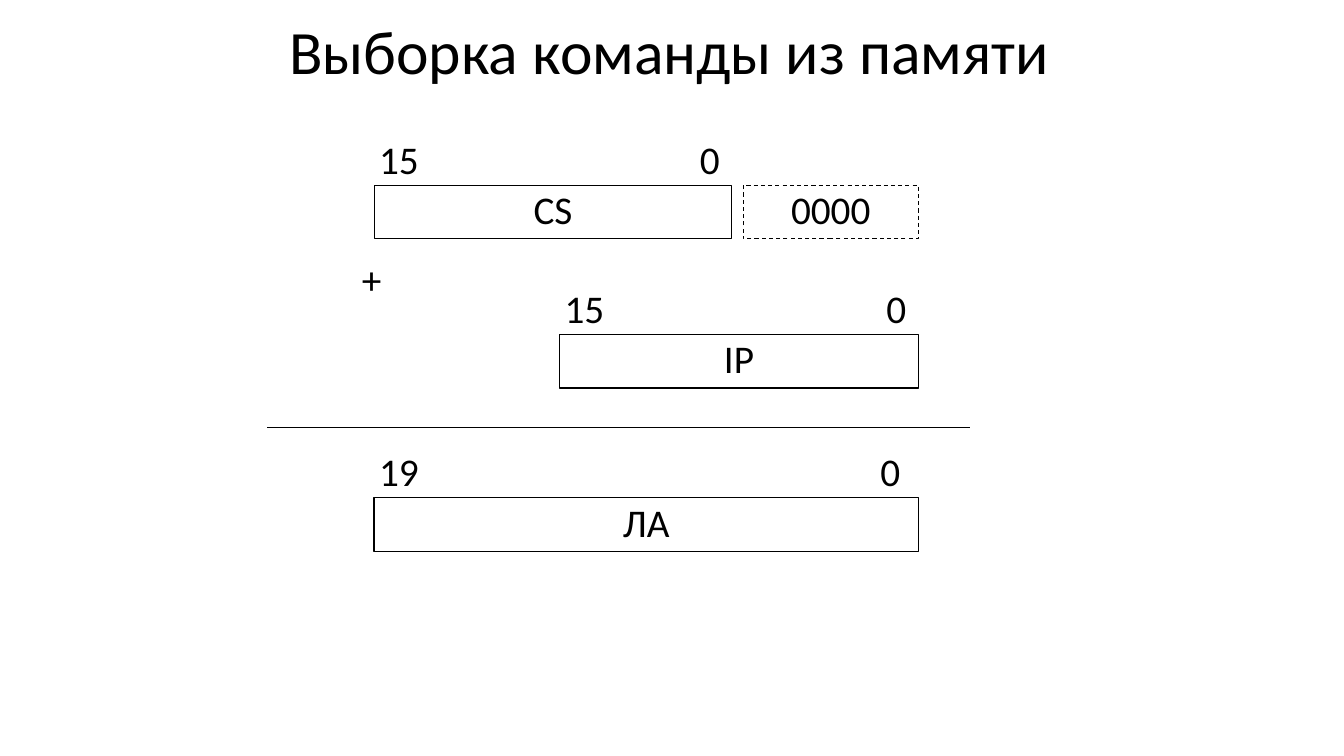
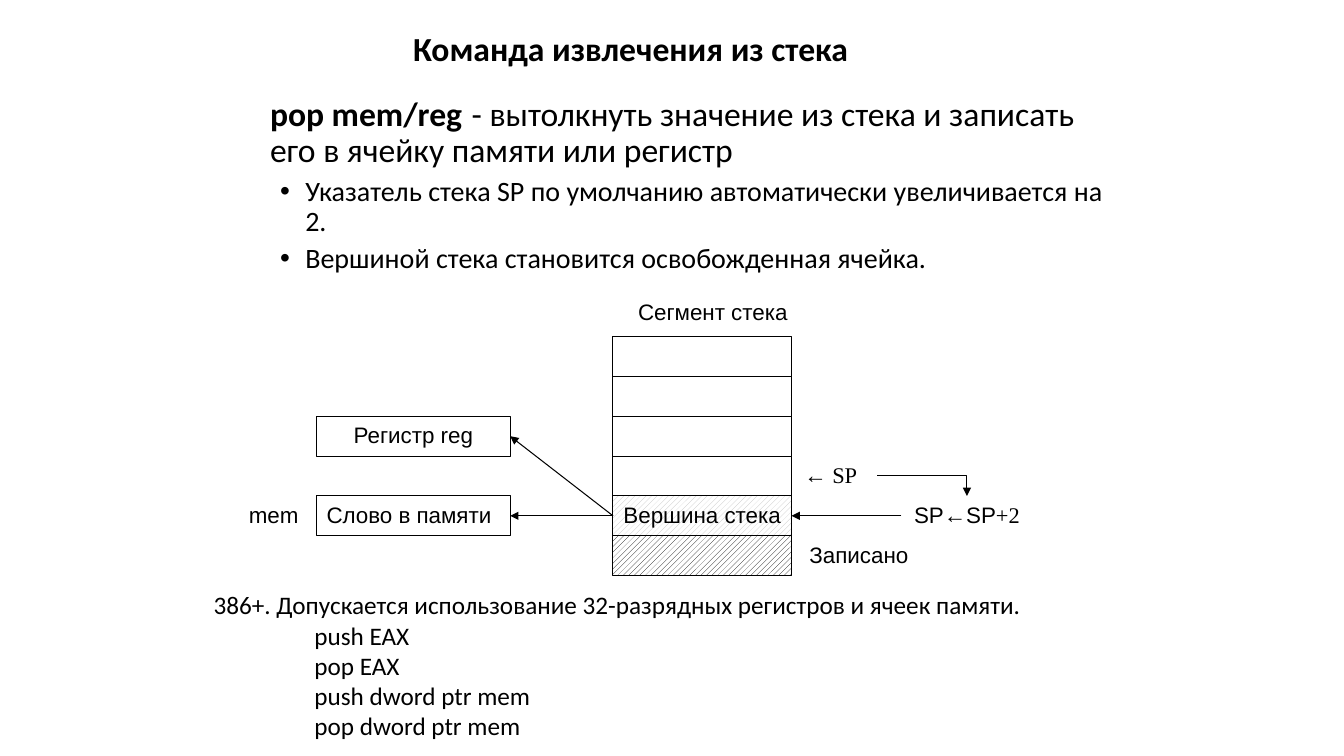
from lxml import etree
from pptx import Presentation
from pptx.dml.color import RGBColor
from pptx.enum.dml import MSO_LINE, MSO_PATTERN
from pptx.enum.shapes import MSO_CONNECTOR, MSO_SHAPE
from pptx.enum.text import MSO_ANCHOR, PP_ALIGN
from pptx.oxml.ns import qn
from pptx.util import Inches, Pt

BLACK = RGBColor(0x00, 0x00, 0x00)
WHITE = RGBColor(0xFF, 0xFF, 0xFF)
GRAY = RGBColor(0xBF, 0xBF, 0xBF)
BODY, SANS, SERIF = "Calibri", "Arial", "Times New Roman"
LEFT, CENTER = PP_ALIGN.LEFT, PP_ALIGN.CENTER
RECT = MSO_SHAPE.RECTANGLE
STRAIGHT, ELBOW = MSO_CONNECTOR.STRAIGHT, MSO_CONNECTOR.ELBOW
HATCH = MSO_PATTERN.WIDE_UPWARD_DIAGONAL
DASH = MSO_LINE.DASH
THIN = Pt(0.75)

# Slide 1: name, left, top, width, high bit, inset of the low bit label
REGISTERS = [
    ("CS", 3.71, 1.84, 3.55, "15", 0),
    ("IP", 5.55, 3.32, 3.56, "15", 0),
    ("ЛА", 3.71, 4.94, 5.40, "19", 0.06),
]
REGISTER_H, BIT_H, BIT_RISE = 0.53, 0.43, 0.5

# Slide 2
COMMAND = [("pop mem/reg", True),
           ("\t- вытолкнуть значение из стека и записать его в ячейку памяти или регистр", False)]
EFFECTS = ["Указатель стека SP по умолчанию автоматически увеличивается на 2.",
           "Вершиной стека становится освобожденная ячейка."]
NOTE = "386+. Допускается использование 32-разрядных регистров и ячеек памяти."
EXAMPLES = ["push EAX", "pop EAX", "push dword ptr mem", "pop dword ptr mem"]

# Stack cells from top to bottom: text, hatch colour
STACK = [("", None)] * 4 + [("Вершина стека", GRAY), ("", BLACK)]
STACK_X, STACK_Y, STACK_W, CELL_H = 6.08, 3.34, 1.77, 0.395
SP_ROW, TOP_ROW, WRITTEN_ROW = 3, 4, 5
TARGET_X, TARGET_W = 3.14, 1.92
# Destinations: text, stack row, alignment
TARGETS = [("Регистр reg", 2, CENTER), ("Слово в памяти", TOP_ROW, LEFT)]
# Labels: runs of (text, font), row, left, width, alignment
LABELS = [
    ([("← SP", SERIF)], SP_ROW, 7.88, 0.81, LEFT),
    ([("mem", SANS)], TOP_ROW, 2.37, 0.77, LEFT),
    ([("SP", SANS), ("←", SERIF), ("SP", SANS), ("+2", SERIF)], TOP_ROW, 8.94, 1.3, CENTER),
    ([("Записано", SANS)], WRITTEN_ROW, 7.93, 1.58, LEFT),
]


def style(p, size, font=BODY, bold=False, align=LEFT):
    p.alignment = align
    f = p.font
    f.size, f.name, f.bold = Pt(size), font, bold
    f.color.rgb = BLACK


def text_box(s, x, y, w, h):
    tf = s.shapes.add_textbox(Inches(x), Inches(y), Inches(w), Inches(h)).text_frame
    tf.word_wrap = True
    return tf


def add_title(s, text, x, y, w, h, size, bold=False):
    tf = text_box(s, x, y, w, h)
    tf.vertical_anchor = MSO_ANCHOR.MIDDLE
    p = tf.paragraphs[0]
    p.text, p.line_spacing = text, 0.9
    style(p, size, bold=bold, align=CENTER)


def add_box(s, x, y, w, h, runs=(), size=16, align=CENTER, outline=True,
            dash=None, hatch=None, inset=None):
    """Rectangle with runs of (text, font); hatch is the pattern colour."""
    sp = s.shapes.add_shape(RECT, Inches(x), Inches(y), Inches(w), Inches(h))
    sp.shadow.inherit = False
    if hatch is None:
        sp.fill.solid()
        sp.fill.fore_color.rgb = WHITE
    else:
        sp.fill.patterned()
        sp.fill.pattern = HATCH
        sp.fill.fore_color.rgb, sp.fill.back_color.rgb = hatch, WHITE
    if outline:
        sp.line.color.rgb, sp.line.width = BLACK, THIN
        if dash is not None:
            sp.line.dash_style = dash
    else:
        sp.line.fill.background()
    tf = sp.text_frame
    tf.word_wrap = True
    tf.vertical_anchor = MSO_ANCHOR.TOP
    if inset is not None:
        tf.margin_left = tf.margin_top = tf.margin_right = tf.margin_bottom = Inches(inset)
    p = tf.paragraphs[0]
    for text, font in runs:
        r = p.add_run()
        r.text, r.font.name = text, font
    style(p, size, runs[0][1] if runs else SANS, align=align)


def add_line(s, start, end, arrow=False, kind=STRAIGHT):
    c = s.shapes.add_connector(kind, *(Inches(v) for v in (*start, *end)))
    c.line.color.rgb, c.line.width = BLACK, THIN
    sp_pr = c._element.spPr
    if kind == ELBOW:
        sp_pr.find(qn("a:prstGeom")).set("prst", "bentConnector2")
    if arrow:
        etree.SubElement(c.line._get_or_add_ln(), qn("a:tailEnd"), type="triangle")
    etree.SubElement(sp_pr, qn("a:effectLst"))


def indent(p, left, first=0, bullet=None):
    p_pr = p._p.get_or_add_pPr()
    p_pr.set("marL", str(Inches(left)))
    p_pr.set("indent", str(Inches(first)))
    if bullet:
        etree.SubElement(p_pr, qn("a:buFont"), typeface=SANS)
        etree.SubElement(p_pr, qn("a:buChar"), char=bullet)


def build_fetch(s):
    add_title(s, "Выборка команды из памяти", 2.14, 0, 9, 1.09, 44)

    def part(text, x, y, w, h, **kw):
        add_box(s, x, y, w, h, [(text, BODY)], size=28, inset=0, **kw)

    for name, x, y, w, high, low_inset in REGISTERS:
        part(name, x, y, w, REGISTER_H)
        part(high, x + 0.05, y - BIT_RISE, 0.53, BIT_H, align=LEFT, outline=False)
        part("0", x + w - 0.44 - low_inset, y - BIT_RISE, 0.44, BIT_H, outline=False)
    part("0000", 7.37, REGISTERS[0][2], 1.74, REGISTER_H, dash=DASH)
    part("+", 3.59, 2.53, 0.27, BIT_H, align=LEFT, outline=False)
    add_line(s, (2.65, 4.24), (9.62, 4.24))


def build_pop(s):
    add_title(s, "Команда извлечения из стека", 2.17, 0.17, 8.17, 0.67, 24, bold=True)

    tf = text_box(s, 2.18, 0.92, 9, 2.13)
    p = tf.paragraphs[0]
    p.line_spacing = 0.9
    indent(p, 0.4)
    for text, bold in COMMAND:
        r = p.add_run()
        r.text, r.font.bold = text, bold
    style(p, 24)
    for text in EFFECTS:
        p = tf.add_paragraph()
        p.text, p.line_spacing, p.space_before = text, 0.9, Pt(5)
        indent(p, 0.75, -0.25, "•")
        style(p, 20)

    def row_top(row):
        return STACK_Y + row * CELL_H

    def row_middle(row):
        return row_top(row) + CELL_H / 2

    add_box(s, STACK_X, 2.91, 1.98, 0.4, [("Сегмент стека", SANS)], outline=False)
    for runs, row, x, w, align in LABELS:
        add_box(s, x, row_top(row), w, CELL_H, runs, align=align, outline=False)
    for row, (text, hatch) in enumerate(STACK):
        add_box(s, STACK_X, row_top(row), STACK_W, CELL_H,
                [(text, SANS)] if text else (), hatch=hatch)
    for text, row, align in TARGETS:
        add_box(s, TARGET_X, row_top(row), TARGET_W, CELL_H, [(text, SANS)], align=align)
        add_line(s, (STACK_X, row_middle(TOP_ROW)),
                 (TARGET_X + TARGET_W, row_middle(row)), arrow=True)
    add_line(s, (8.94, row_middle(TOP_ROW)),
             (STACK_X + STACK_W, row_middle(TOP_ROW)), arrow=True)
    add_line(s, (8.7, row_middle(SP_ROW)), (9.59, row_top(TOP_ROW)), arrow=True, kind=ELBOW)

    tf = text_box(s, 2.02, 5.8, 9.13, 1.62)
    p = tf.paragraphs[0]
    p.text = NOTE
    style(p, 18)
    for text in EXAMPLES:
        p = tf.add_paragraph()
        p.text = text
        indent(p, 1)
        style(p, 18)


def main():
    prs = Presentation()
    prs.slide_width, prs.slide_height = Inches(13.33), Inches(7.5)
    for build in (build_fetch, build_pop):
        build(prs.slides.add_slide(prs.slide_layouts[6]))
    prs.save("out.pptx")


if __name__ == "__main__":
    main()
